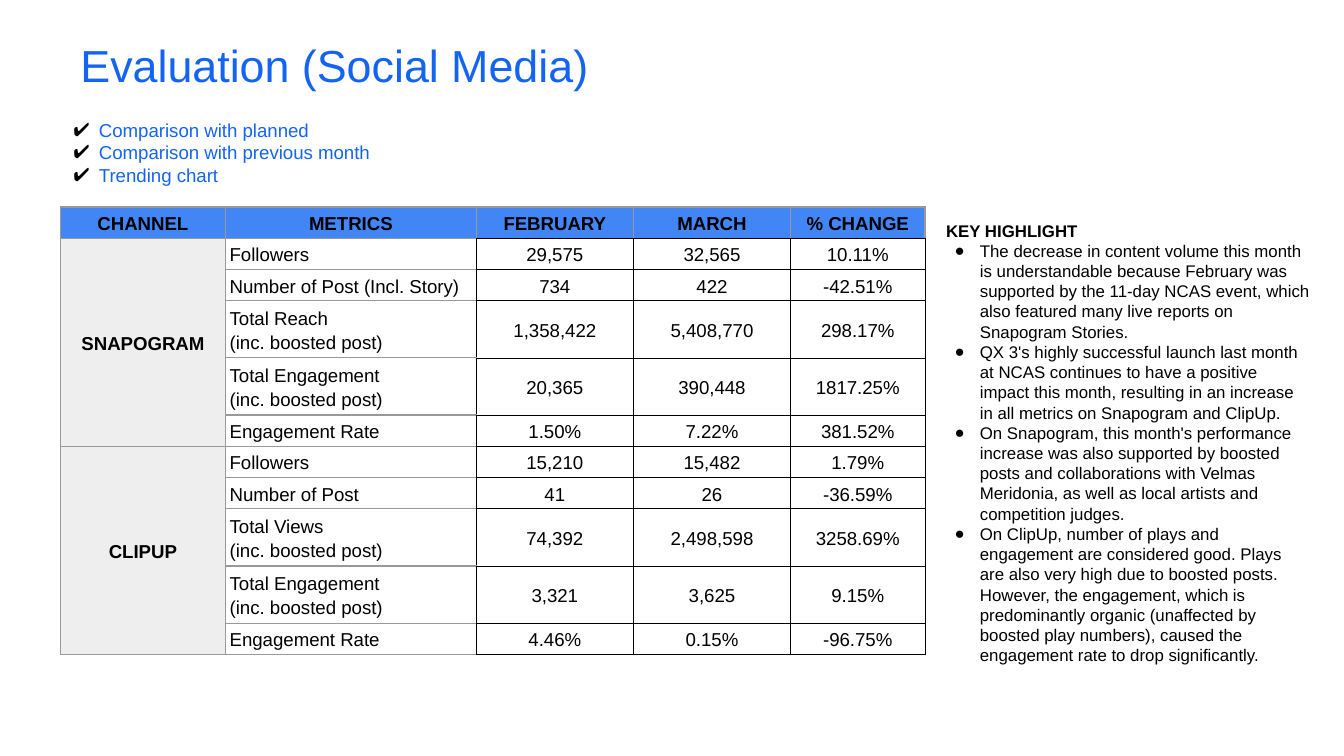
from lxml import etree
from pptx import Presentation
from pptx.dml.color import RGBColor
from pptx.enum.text import MSO_ANCHOR, MSO_AUTO_SIZE, PP_ALIGN
from pptx.oxml.ns import qn
from pptx.util import Cm, Pt

LEFT, CENTER = PP_ALIGN.LEFT, PP_ALIGN.CENTER
TOP, MIDDLE = MSO_ANCHOR.TOP, MSO_ANCHOR.MIDDLE
NO_AUTOFIT = MSO_AUTO_SIZE.NONE

BLUE = RGBColor(0x14, 0x64, 0xF4)
HEADER_BLUE = RGBColor(0x42, 0x85, 0xF4)
PALE_GRAY = RGBColor(0xEE, 0xEE, 0xEE)
GRAY = RGBColor(0x99, 0x99, 0x99)
BLACK = RGBColor(0, 0, 0)

GRAY_EDGE = (GRAY, 0.75)
BLACK_EDGE = (BLACK, 0.47)
SINGLE_ROW, DOUBLE_ROW = Cm(0.59), Cm(1.08)

TOPICS = ["Comparison with planned", "Comparison with previous month", "Trending chart"]
HIGHLIGHTS = [
    "The decrease in content volume this month is understandable because February was "
    "supported by the 11-day NCAS event, which also featured many live reports on "
    "Snapogram Stories.",
    "QX 3's highly successful launch last month at NCAS continues to have a positive "
    "impact this month, resulting in an increase in all metrics on Snapogram and ClipUp.",
    "On Snapogram, this month's performance increase was also supported by boosted posts "
    "and collaborations with Velmas Meridonia, as well as local artists and competition "
    "judges.",
    "On ClipUp, number of plays and engagement are considered good. Plays are also very "
    "high due to boosted posts. However, the engagement, which is predominantly organic "
    "(unaffected by boosted play numbers), caused the engagement rate to drop "
    "significantly.",
]

HEADINGS = ["CHANNEL", "METRICS", "FEBRUARY", "MARCH", "% CHANGE"]
COLUMN_WIDTHS = [3.12, 4.74, 2.97, 2.97, 2.54]
BOOSTED = "\n(inc. boosted post)"
CHANNELS = {
    "SNAPOGRAM": [
        ("Followers", "29,575", "32,565", "10.11%"),
        ("Number of Post (Incl. Story)", "734", "422", "-42.51%"),
        ("Total Reach" + BOOSTED, "1,358,422", "5,408,770", "298.17%"),
        ("Total Engagement" + BOOSTED, "20,365", "390,448", "1817.25%"),
        ("Engagement Rate", "1.50%", "7.22%", "381.52%"),
    ],
    "CLIPUP": [
        ("Followers", "15,210", "15,482", "1.79%"),
        ("Number of Post", "41", "26", "-36.59%"),
        ("Total Views" + BOOSTED, "74,392", "2,498,598", "3258.69%"),
        ("Total Engagement" + BOOSTED, "3,321", "3,625", "9.15%"),
        ("Engagement Rate", "4.46%", "0.15%", "-96.75%"),
    ],
}


def set_attributes(target, values):
    for name, value in values.items():
        setattr(target, name, value)


def style_paragraph(paragraph, size, color, bold=False, align=LEFT, spacing=1.0):
    set_attributes(paragraph, {"alignment": align, "line_spacing": spacing})
    for run in paragraph.runs:
        set_attributes(run.font, {"name": "Arial", "size": Pt(size), "bold": bold})
        run.font.color.rgb = color


def add_bullet(paragraph, mark, margin, hanging):
    properties = paragraph._p.get_or_add_pPr()
    properties.set("marL", str(margin))
    properties.set("indent", str(-hanging))
    color = etree.SubElement(properties, qn("a:buClr"))
    etree.SubElement(color, qn("a:srgbClr"), val=str(BLACK))
    etree.SubElement(properties, qn("a:buFont"), typeface="Arial")
    etree.SubElement(properties, qn("a:buChar"), char=mark)


def format_frame(frame, vertical_inset):
    set_attributes(frame, {
        "word_wrap": True, "auto_size": NO_AUTOFIT, "vertical_anchor": TOP,
        "margin_left": Cm(0.25), "margin_right": Cm(0.25),
        "margin_top": vertical_inset, "margin_bottom": vertical_inset,
    })


def add_title(slide, wording):
    title = slide.shapes.title
    set_attributes(title, {"left": Cm(1.27), "top": Cm(0.58),
                           "width": Cm(17.86), "height": Cm(1.27)})
    title.text_frame.text = wording
    format_frame(title.text_frame, Cm(0.13))
    style_paragraph(title.text_frame.paragraphs[0], 24, BLUE)


def add_text(slide, box, lines, inset):
    frame = slide.shapes.add_textbox(*map(Cm, box)).text_frame
    frame.text = "\n".join(lines)
    format_frame(frame, inset)
    return frame.paragraphs


def set_edges(cell, edges):
    properties = cell._tc.get_or_add_tcPr()
    for position, (side, (color, width)) in enumerate(zip("LRTB", edges)):
        line = etree.Element(qn(f"a:ln{side}"), w=str(Pt(width)))
        fill = etree.SubElement(line, qn("a:solidFill"))
        etree.SubElement(fill, qn("a:srgbClr"), val=str(color))
        properties.insert(position, line)


def fill_cell(cell, wording, edges, fill=None, bold=False, align=CENTER):
    """Edges run left, right, top, bottom."""
    cell.text = wording
    set_attributes(cell, {
        "vertical_anchor": MIDDLE, "margin_left": Cm(0.08), "margin_right": Cm(0.08),
        "margin_top": Cm(0.05), "margin_bottom": Cm(0.05),
    })
    for paragraph in cell.text_frame.paragraphs:
        style_paragraph(paragraph, 10, BLACK, bold, align, 1.15)
    if fill is None:
        cell.fill.background()
    else:
        cell.fill.solid()
        cell.fill.fore_color.rgb = fill
    set_edges(cell, edges)


def add_metrics_table(slide):
    row_count = 1 + sum(len(metrics) for metrics in CHANNELS.values())
    table = slide.shapes.add_table(row_count, len(HEADINGS), Cm(1.14), Cm(3.91),
                                   Cm(sum(COLUMN_WIDTHS)), SINGLE_ROW * row_count).table
    set_attributes(table, {"first_row": False, "horz_banding": False})
    for column, width in zip(table.columns, COLUMN_WIDTHS):
        column.width = Cm(width)

    # Header row
    table.rows[0].height = SINGLE_ROW
    for index, heading in enumerate(HEADINGS):
        bottom = GRAY_EDGE if index < 2 else BLACK_EDGE
        fill_cell(table.cell(0, index), heading, [GRAY_EDGE] * 3 + [bottom],
                  HEADER_BLUE, bold=True)

    # One merged channel cell beside its metrics
    row = 1
    for channel, metrics in CHANNELS.items():
        last = row + len(metrics) - 1
        for covered in range(row, last + 1):
            fill_cell(table.cell(covered, 0), channel if covered == row else "",
                      [GRAY_EDGE] * 4, PALE_GRAY, bold=True)
        table.cell(row, 0).merge(table.cell(last, 0))
        for metric, *values in metrics:
            table.rows[row].height = DOUBLE_ROW if "\n" in metric else SINGLE_ROW
            fill_cell(table.cell(row, 1), metric,
                      [GRAY_EDGE, BLACK_EDGE, GRAY_EDGE, GRAY_EDGE], align=LEFT)
            for index, value in enumerate(values, start=2):
                fill_cell(table.cell(row, index), value, [BLACK_EDGE] * 4)
            row += 1


def main():
    presentation = Presentation()
    set_attributes(presentation, {"slide_width": Cm(25.4), "slide_height": Cm(14.28)})
    slide = presentation.slides.add_slide(presentation.slide_layouts[5])

    add_title(slide, "Evaluation (Social Media)")

    # Topics under the title
    for topic in add_text(slide, (1.14, 2.11, 19.25, 1.55), TOPICS, Cm(0.13)):
        style_paragraph(topic, 10, BLUE)
        add_bullet(topic, "✔", Cm(0.48), Cm(0.48))

    # Key highlights beside the table
    heading, *highlights = add_text(slide, (17.63, 3.91, 7.37, 8.99),
                                    ["KEY HIGHLIGHT"] + HIGHLIGHTS, Cm(0.25))
    style_paragraph(heading, 9, BLACK, bold=True)
    for highlight in highlights:
        style_paragraph(highlight, 9, BLACK)
        add_bullet(highlight, "●", Cm(0.64), Cm(0.48))

    add_metrics_table(slide)
    presentation.save("out.pptx")


if __name__ == "__main__":
    main()
